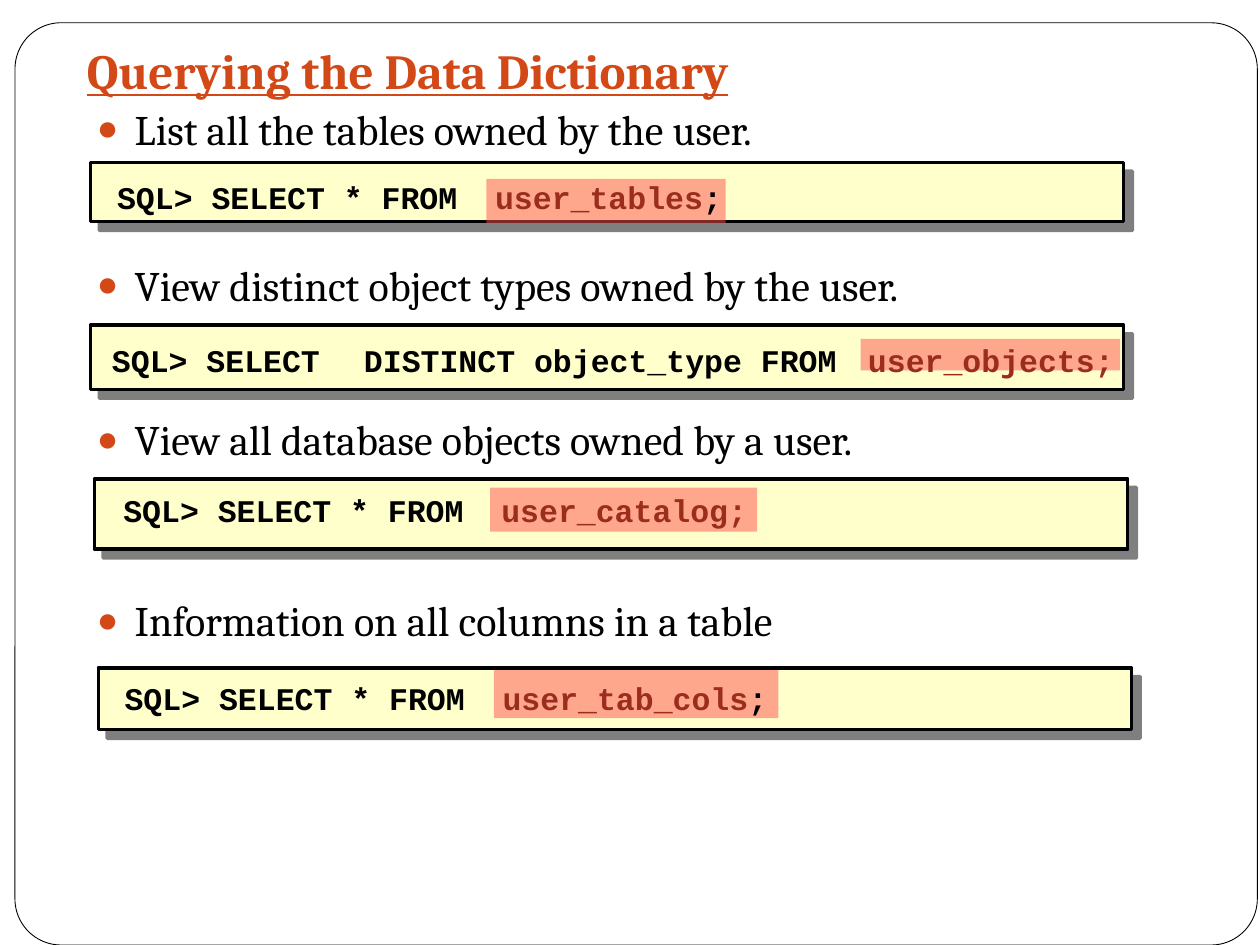
from lxml.etree import SubElement
from pptx import Presentation
from pptx.dml.color import RGBColor
from pptx.enum.shapes import MSO_SHAPE as Shape
from pptx.enum.text import MSO_ANCHOR as Anchor, MSO_AUTO_SIZE as AutoSize, PP_ALIGN as Align
from pptx.oxml.ns import qn
from pptx.util import Pt

ACCENT = "D34817"
BLACK = "000000"
OBJECT_NAME = "9B2D1F"

BULLETS = [
    ("List all the tables owned by the user.", 0),
    ("View distinct object types owned by the user.", 60.4),
    ("View all database objects owned by a user.", 59.4),
    ("Information on all columns in a table", 74.7),
]

QUERIES = [
    ((51.8, 92.9, 590.4, 33.8), (277.9, 102.2, 136.8, 25.2), (59.8, 85.7, 584.6, 54),
     "SQL> SELECT * FROM\t", "user_tables", ";"),
    ((51.8, 185.8, 590.4, 36.7), (491.8, 193.7, 148.3, 18), (56.9, 186.5, 600, 38.2),
     "SQL> SELECT\tDISTINCT object_type FROM\t", "user_objects;", ""),
    ((54, 273.6, 590.4, 40.3), (280.1, 278.6, 152.6, 25.2), (63.4, 267.1, 588.2, 48.2),
     "SQL> SELECT * FROM\t", "user_catalog;", ""),
    ((56.2, 381.6, 590.4, 35.3), (282.2, 383, 162.7, 27.4), (64.1, 380.2, 584.6, 36.7),
     "SQL> SELECT * FROM\t", "user_tab_cols", ";"),
]


def rgb(color):
    return RGBColor.from_string(color)


def points(box):
    return [Pt(value) for value in box]


def place(placeholder, box):
    placeholder.left, placeholder.top, placeholder.width, placeholder.height = points(box)


def set_font(font, face, size, color=None, bold=None):
    font.name = face
    font.size = Pt(size)
    font.bold = bold
    if color:
        font.color.rgb = rgb(color)


def add_panel(slide, kind, box, fill, line_width=None):
    panel = slide.shapes.add_shape(kind, *points(box))
    panel.shadow.inherit = False
    panel.fill.solid()
    panel.fill.fore_color.rgb = rgb(fill)
    if line_width:
        panel.line.color.rgb = rgb(BLACK)
        panel.line.width = Pt(line_width)
    else:
        panel.line.fill.background()
    return panel


def add_frame(slide):
    frame = add_panel(slide, Shape.ROUNDED_RECTANGLE, (8.6, 13, 709.9, 527), "FFFFFF", 0.5)
    frame.adjustments[0] = 0.05
    slide.shapes._spTree.insert(2, frame._element)


def add_alpha(color_element, percent):
    SubElement(color_element, qn("a:alpha"), val=str(percent * 1000))


def add_code_bar(slide, box):
    bar = add_panel(slide, Shape.RECTANGLE, box, "FFFFCC", 2)
    effects = bar._element.spPr.find(qn("a:effectLst"))
    shadow = SubElement(effects, qn("a:outerShdw"), dist=str(Pt(7.1)),
                        dir=str(45 * 60000), algn="ctr", rotWithShape="0")
    add_alpha(SubElement(shadow, qn("a:srgbClr"), val=BLACK), 50)


def add_highlight(slide, box):
    highlight = add_panel(slide, Shape.RECTANGLE, box, "FF5050")
    add_alpha(highlight._element.spPr.find(qn("a:solidFill")).find(qn("a:srgbClr")), 50)


def add_query(slide, box, command, object_name, ending):
    frame = slide.shapes.add_textbox(*points(box)).text_frame
    frame.word_wrap = True
    frame.vertical_anchor = Anchor.MIDDLE
    query = frame.paragraphs[0]
    set_font(query.font, "Courier New", 18, bold=True)
    for text, color in ((command, BLACK), (object_name, OBJECT_NAME), (ending, BLACK)):
        if text:
            run = query.add_run()
            run.text = text
            run.font.color.rgb = rgb(color)


def fill_title(title):
    place(title, (42.5, 19, 459.4, 42.5))
    frame = title.text_frame
    frame.text = "Querying the Data Dictionary"
    frame.auto_size = AutoSize.NONE
    frame.vertical_anchor = Anchor.MIDDLE
    heading = frame.paragraphs[0]
    heading.alignment = Align.LEFT
    set_font(heading.font, "Cambria", 28, ACCENT, True)
    heading.font.underline = True


def add_bullet(paragraph):
    properties = paragraph._p.get_or_add_pPr()
    properties.set("marL", str(Pt(21.6)))
    properties.set("indent", str(-Pt(21.6)))
    color = SubElement(properties, qn("a:buClr"))
    SubElement(color, qn("a:srgbClr"), val=ACCENT)
    SubElement(properties, qn("a:buSzPct"), val="85000")
    SubElement(properties, qn("a:buChar"), char="●")


def fill_bullets(body):
    place(body, (48.2, 55.4, 581.8, 430.6))
    frame = body.text_frame
    frame.text = "\n".join(text for text, _ in BULLETS)
    frame.auto_size = AutoSize.NONE
    for paragraph, (_, gap) in zip(frame.paragraphs, BULLETS):
        add_bullet(paragraph)
        paragraph.space_before = Pt(gap)
        set_font(paragraph.font, "Cambria", 24, BLACK)


def main():
    deck = Presentation()
    deck.slide_width, deck.slide_height = Pt(720), Pt(540)
    slide = deck.slides.add_slide(deck.slide_layouts[1])
    add_frame(slide)
    fill_title(slide.shapes.title)
    fill_bullets(slide.placeholders[1])
    for bar, highlight, text_box, command, object_name, ending in QUERIES:
        add_code_bar(slide, bar)
        add_highlight(slide, highlight)
        add_query(slide, text_box, command, object_name, ending)
    deck.save("out.pptx")


if __name__ == "__main__":
    main()
